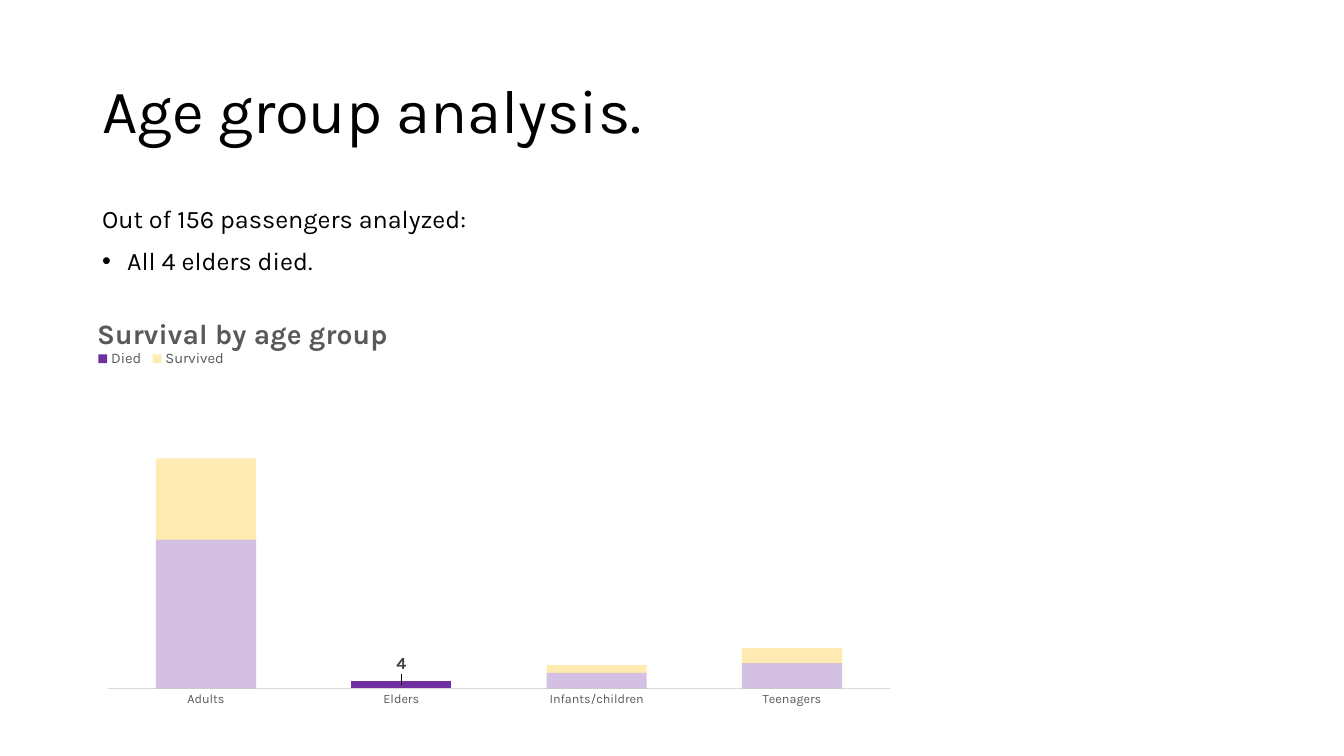
"""Build the age group analysis slide with its survival chart."""
import lxml.etree
import pptx
import pptx.chart.data
import pptx.dml.color
import pptx.enum.chart
import pptx.enum.text
import pptx.oxml
import pptx.oxml.ns
import pptx.util

PX = 9071
FONT = "Karla"
COLORS = {"ink": "000000", "label": "595959", "value": "404040", "axis": "D9D9D9",
          "died": "7030A0", "survived": "FFC000"}
qn = pptx.oxml.ns.qn


def write(paragraph, text="", size=18, color="ink", bold=False, before=0, bullet=None):
    if text:
        paragraph.text = text
    font = paragraph.runs[0].font if text else paragraph
    font.name, font.size, font.bold = FONT, pptx.util.Pt(size), bold
    font.color.rgb = pptx.dml.color.RGBColor.from_string(COLORS[color])
    if not text:
        return
    paragraph.alignment = pptx.enum.text.PP_ALIGN.LEFT
    paragraph.line_spacing = 0.9
    paragraph.space_before = pptx.util.Pt(before)
    properties = paragraph._p.get_or_add_pPr()
    indent = 25 * PX if bullet else 0
    properties.set("marL", str(indent))
    properties.set("indent", str(-indent))
    mark = lxml.etree.SubElement(properties, qn("a:buChar" if bullet else "a:buNone"))
    if bullet:
        mark.set("char", bullet)


def lay_out(parent, after, **fractions):
    for old in parent.findall(qn("c:layout")):
        parent.remove(old)
    layout = lxml.etree.Element(qn("c:layout"))
    manual = lxml.etree.SubElement(layout, qn("c:manualLayout"))
    for tag, value in fractions.items():
        lxml.etree.SubElement(manual, qn("c:" + tag)).set("val", str(value))
    position = parent.index(parent.find(qn(after))) + 1 if after else 0
    parent.insert(position, layout)


deck = pptx.Presentation()
deck.slide_width, deck.slide_height = 1344 * PX, 756 * PX
slide = deck.slides.add_slide(deck.slide_layouts[1])

heading, findings = slide.shapes.title, slide.placeholders[1]
for holder, top, height in ((heading, 40, 148), (findings, 202, 480)):
    holder.left, holder.top = 92 * PX, top * PX
    holder.width, holder.height = 1159 * PX, height * PX
    holder.text_frame.word_wrap = True
    holder.text_frame.auto_size = pptx.enum.text.MSO_AUTO_SIZE.NONE
heading.text_frame.vertical_anchor = pptx.enum.text.MSO_ANCHOR.MIDDLE
write(heading.text_frame.paragraphs[0], "Age group analysis.", size=44)
write(findings.text_frame.paragraphs[0], "Out of 156 passengers analyzed:", before=10)
write(findings.text_frame.add_paragraph(), "All 4 elders died.", before=10, bullet="•")

survival = pptx.chart.data.CategoryChartData()
survival.categories = ["Adults", "Elders", "Infants/children", "Teenagers"]
survival.add_series("Died", [77, 4, 8, 13])
survival.add_series("Survived", [42, None, 4, 8])
chart = slide.shapes.add_chart(
    pptx.enum.chart.XL_CHART_TYPE.COLUMN_STACKED,
    92 * PX, 310 * PX, 814 * PX, 407 * PX, survival).chart
write(chart.font, size=10)

chart.has_title = True
caption = chart.chart_title
write(caption.text_frame.paragraphs[0], "Survival by age group", size=20, color="label", bold=True)
caption.include_in_layout = False
lay_out(caption._element, "c:tx", xMode="edge", yMode="edge", x=0, y=0)

chart.has_legend = True
chart.legend.position = pptx.enum.chart.XL_LEGEND_POSITION.TOP
chart.legend.include_in_layout = False
write(chart.legend.font, size=10.5, color="label")
lay_out(chart.legend._element, "c:legendPos", xMode="edge", yMode="edge",
        x=0, y=0.09, w=0.17, h=0.06)

plot_area = chart._chartSpace.find(".//" + qn("c:plotArea"))
lay_out(plot_area, None, layoutTarget="inner", xMode="edge", yMode="edge",
        x=0.02, y=0.36, w=0.96, h=0.57)

groups, counts = chart.category_axis, chart.value_axis
groups.major_tick_mark = pptx.enum.chart.XL_TICK_MARK.NONE
groups.format.line.color.rgb = pptx.dml.color.RGBColor.from_string(COLORS["axis"])
groups.format.line.width = pptx.util.Pt(0.75)
write(groups.tick_labels.font, size=9, color="label")
counts.has_major_gridlines = False
counts.minimum_scale, counts.maximum_scale = 0, 120
counts.visible = False

plot = chart.plots[0]
plot.gap_width, plot.overlap = 95, 100
plot.vary_by_categories = False
died, survived = plot.series
faded = [died.points[index] for index in (0, 2, 3)]
for part, color in [(point, "died") for point in faded] + [(survived, "survived")]:
    part.format.fill.solid()
    part.format.fill.fore_color.rgb = pptx.dml.color.RGBColor.from_string(COLORS[color])
for tint in chart._chartSpace.findall(".//" + qn("c:ser") + "//" + qn("a:srgbClr")):
    lxml.etree.SubElement(tint, qn("a:alpha")).set("val", "30000")
died.format.fill.solid()
died.format.fill.fore_color.rgb = pptx.dml.color.RGBColor.from_string(COLORS["died"])

write(died.points[1].data_label.font, size=12, color="value", bold=True)
died.data_labels.show_value = False
labels = died.data_labels._element
lay_out(labels.find(qn("c:dLbl")), "c:idx", x=0, y=-0.05)
labels.append(pptx.oxml.parse_xml(
    '<c:extLst xmlns:c="http://schemas.openxmlformats.org/drawingml/2006/chart">'
    '<c:ext uri="{CE6537A1-D6FC-4f65-9D91-7224C49458BB}" '
    'xmlns:c15="http://schemas.microsoft.com/office/drawing/2012/chart">'
    '<c15:showLeaderLines val="1"/></c:ext></c:extLst>'))

deck.save("out.pptx")
